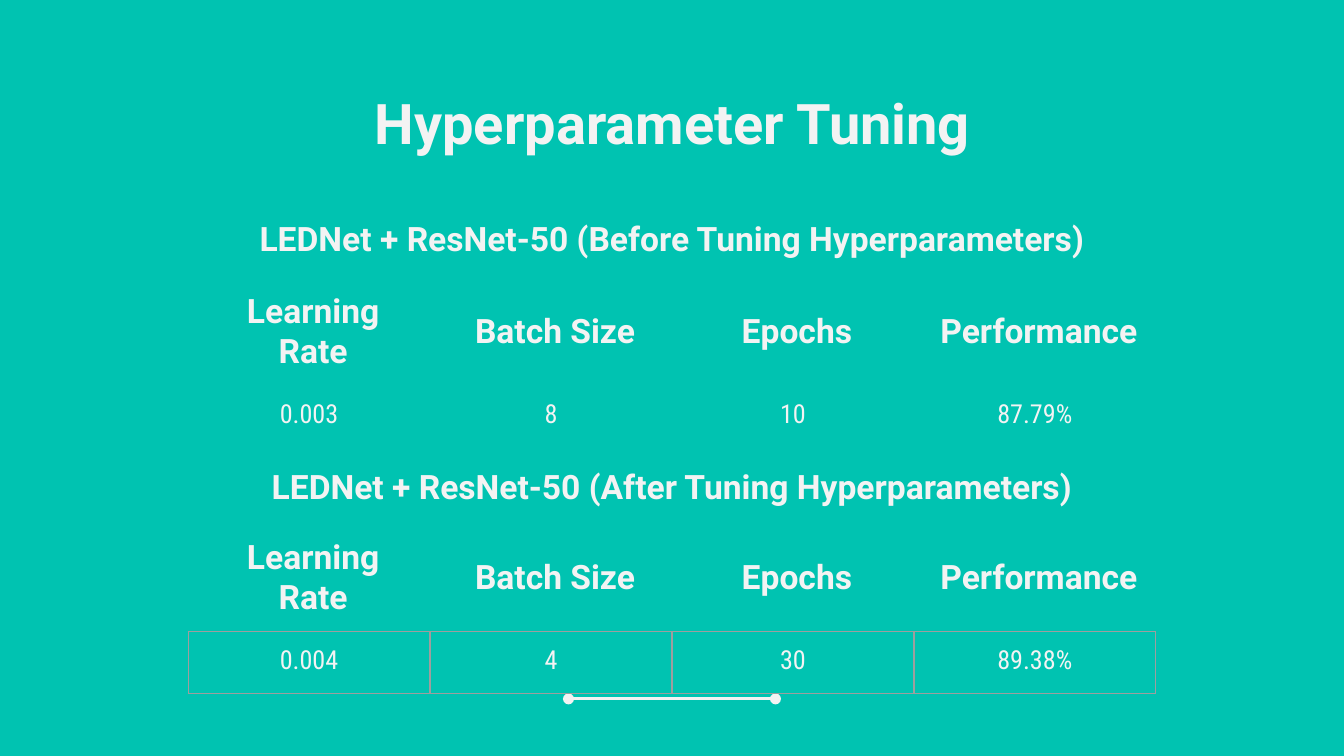
"""Build the hyperparameter tuning slide with its two result tables."""
from lxml.etree import SubElement
from pptx import Presentation
from pptx.dml.color import RGBColor
from pptx.enum.shapes import MSO_CONNECTOR
from pptx.enum.text import MSO_ANCHOR, PP_ALIGN
from pptx.oxml import parse_xml
from pptx.oxml.ns import nsdecls, qn
from pptx.util import Inches, Pt

TEAL = RGBColor(0x00, 0xC3, 0xB1)
WHITE = RGBColor(0xF3, 0xF3, 0xF3)
GREY = RGBColor(0x9E, 0x9E, 0x9E)
HEADS = ["Learning Rate", "Batch Size", "Epochs", "Performance"]
TABLES = [
    (1.5, [0.57, 0.46, 0.48], "Before", ["0.003", "8", "10", "87.79%"], TEAL, 1.5),
    (3.36, [0.54, 0.44, 0.46], "After", ["0.004", "4", "30", "89.38%"], GREY, 0.75),
]


def write(box, frame, text, size, face, bold):
    box.margin_left = box.margin_right = Inches(0.1)
    box.margin_top = box.margin_bottom = Inches(0.1)
    para = frame.paragraphs[0]
    para.text = text
    para.alignment = PP_ALIGN.CENTER
    font = para.runs[0].font
    font.size, font.name, font.bold = Pt(size), face, bold
    font.color.rgb = WHITE


def edge(cell, sides):
    props = cell._tc.get_or_add_tcPr()
    for spot, (side, color, width) in enumerate(sides):
        props.insert(spot, parse_xml(
            f'<a:ln{side} {nsdecls("a")} w="{Pt(width)}"><a:solidFill>'
            f'<a:srgbClr val="{color}"/></a:solidFill></a:ln{side}>'))


deck = Presentation()
deck.slide_width = Inches(10)
deck.slide_height = Inches(10) * 9 // 16
slide = deck.slides.add_slide(deck.slide_layouts[6])
slide.background.fill.solid()
slide.background.fill.fore_color.rgb = TEAL

title = slide.shapes.add_textbox(Inches(0.79), Inches(0.56), Inches(8.43), Inches(0.63))
frame = title.text_frame
frame.word_wrap = True
write(frame, frame, "Hyperparameter Tuning", 30, "Roboto", True)

for top, heights, stage, values, color, width in TABLES:
    table = slide.shapes.add_table(
        3, 4, Inches(1.4), Inches(top), Inches(7.2), Inches(sum(heights))).table
    table.first_row = table.horz_banding = False
    for col in table.columns:
        col.width = Inches(1.8)
    for row, height in zip(table.rows, heights):
        row.height = Inches(height)
    name = table.cell(0, 0)
    name.merge(table.cell(0, 3))
    label = f"LEDNet + ResNet-50 ({stage} Tuning Hyperparameters)"
    write(name, name.text_frame, label, 18, "Roboto", True)
    for idx in range(4):
        head, value = table.cell(1, idx), table.cell(2, idx)
        write(head, head.text_frame, HEADS[idx], 18, "Roboto", True)
        head.text_frame.paragraphs[0]._p.get_or_add_pPr().set("marL", str(Inches(0.06)))
        write(value, value.text_frame, values[idx], 14, "Roboto Condensed", False)
        value.fill.background()
        edge(value, [(side, color, width) for side in "LRTB"])
        for cell in (table.cell(0, idx), head):
            cell.vertical_anchor = MSO_ANCHOR.MIDDLE
            cell.fill.solid()
            cell.fill.fore_color.rgb = TEAL
            tint = cell._tc.tcPr.find(".//" + qn("a:srgbClr"))
            SubElement(tint, qn("a:alpha")).set("val", "19000")
        edge(table.cell(0, idx), [(side, TEAL, 1.5) for side in "LRTB"])
        edge(head, [(side, TEAL, 1.5) for side in "LRT"] + [("B", color, width)])
    if stage == "Before":
        line = slide.shapes.add_connector(
            MSO_CONNECTOR.STRAIGHT, Inches(5.77), Inches(5.2), Inches(4.23), Inches(5.2))

line.line.color.rgb = WHITE
line.line.width = Pt(1.5)
stroke = line.line._get_or_add_ln()
for end in ("a:headEnd", "a:tailEnd"):
    SubElement(stroke, qn(end)).set("type", "oval")
SubElement(line._element.spPr, qn("a:effectLst"))

deck.save("out.pptx")
